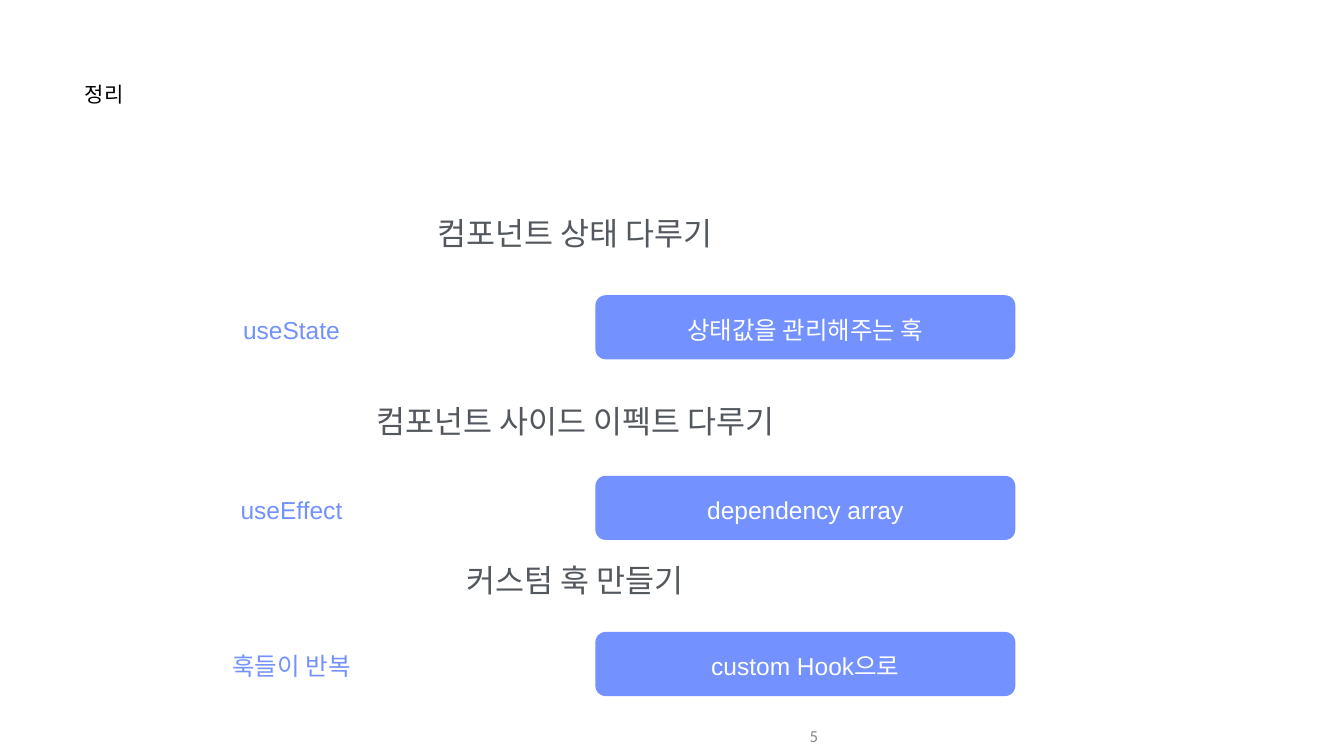
from pptx import Presentation
from pptx.dml.color import RGBColor
from pptx.enum.shapes import MSO_SHAPE as SHAPE
from pptx.enum.text import MSO_ANCHOR as ANCHOR, MSO_AUTO_SIZE as AUTO, PP_ALIGN as ALIGN
from pptx.util import Cm, Pt


def rgb(value):
    return RGBColor.from_string(value)


def write(sp, text, size, color, align=ALIGN.CENTER, anchor=ANCHOR.TOP, font="Arial", top=0.03):
    tf = sp.text_frame
    tf.text = text
    tf.word_wrap = True
    tf.auto_size = AUTO.NONE
    tf.vertical_anchor = anchor
    tf.margin_left = tf.margin_right = tf.margin_bottom = Cm(0.03)
    tf.margin_top = Cm(top)
    p = tf.paragraphs[0]
    p.alignment = align
    r = p.runs[0]
    r.font.size = Pt(size)
    r.font.name = font
    r.font.color.rgb = rgb(color)


BLUE, WHITE, GRAY = "7391FF", "FFFFFF", "53585F"

prs = Presentation()
prs.slide_width, prs.slide_height = Cm(67.72), Cm(38.1)
s = prs.slides.add_slide(prs.slide_layouts[5])

title = s.shapes.title
title.left, title.top, title.width, title.height = Cm(4.24), Cm(4.06), Cm(12.34), Cm(3)
write(title, "정리", 30, "000000", ALIGN.LEFT)

sections = [
    (10.77, "컴포넌트 상태 다루기", 14.88, "useState", "상태값을 관리해주는 훅"),
    (20.22, "컴포넌트 사이드 이펙트 다루기", 23.98, "useEffect", "dependency array"),
    (28.24, "커스텀 훅 만들기", 31.85, "훅들이 반복", "custom Hook으로"),
]
for heading_top, heading, box_top, label, detail in sections:
    sp = s.shapes.add_textbox(Cm(6.71), Cm(heading_top), Cm(44.55), Cm(2.01))
    write(sp, heading, 45, GRAY)
    for left, width, text, fill, color in [
        (6.75, 15.88, label, WHITE, BLUE),
        (30, 21.16, detail, BLUE, WHITE),
    ]:
        sp = s.shapes.add_shape(SHAPE.ROUNDED_RECTANGLE, Cm(left), Cm(box_top), Cm(width), Cm(3.23))
        sp.adjustments[0] = 0.16
        sp.shadow.inherit = False
        sp.fill.solid()
        sp.fill.fore_color.rgb = rgb(fill)
        sp.line.fill.background()
        write(sp, text, 35, color, anchor=ANCHOR.MIDDLE, top=0.25)

number = s.shapes.add_textbox(Cm(26.24), Cm(36.09), Cm(15.01), Cm(2.01))
write(number, "5", 24, "888888", ALIGN.RIGHT, ANCHOR.MIDDLE, "Calibri")

prs.save("out.pptx")
